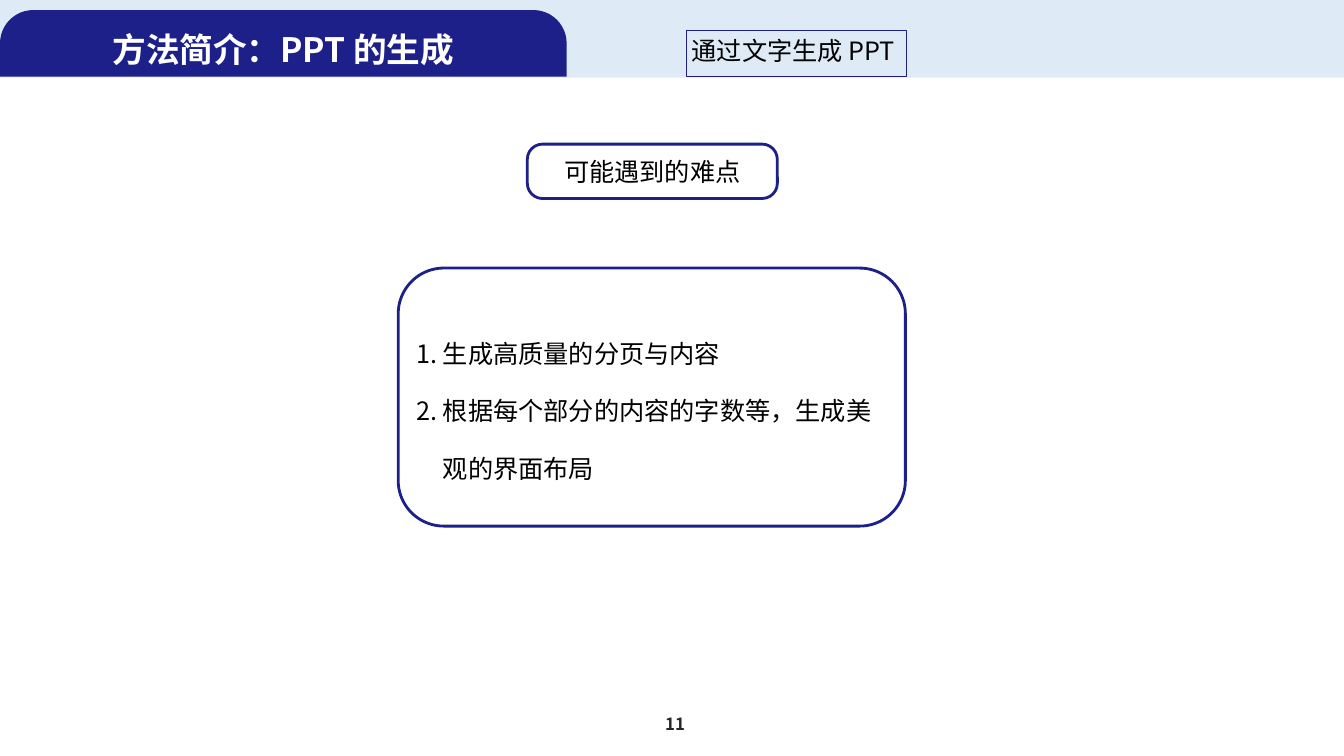
from lxml import etree
from pptx import Presentation
from pptx.dml.color import RGBColor
from pptx.enum.shapes import MSO_SHAPE as Preset
from pptx.enum.text import MSO_ANCHOR as Anchor, MSO_AUTO_SIZE as AutoSize, PP_ALIGN as Align
from pptx.oxml.ns import qn
from pptx.util import Inches, Pt

FONT = "Noto Sans CJK SC"
NAVY, SKY, WHITE, BLACK, GREY = "1D2088", "DEEBF7", "FFFFFF", "000000", "262626"
NUMBER_INDENT = Inches(0.26)


def rgb(value):
    return RGBColor.from_string(value)


def apply_format(target, values):
    for name, value in values.items():
        setattr(target, name, value)


def add_panel(slide, preset, box, fill=None, line_width=None, radii=()):
    panel = slide.shapes.add_shape(preset, *map(Inches, box))
    panel.shadow.inherit = False
    for index, radius in enumerate(radii):
        panel.adjustments[index] = radius
    if fill:
        panel.fill.solid()
        panel.fill.fore_color.rgb = rgb(fill)
    else:
        panel.fill.background()
    if line_width:
        panel.line.color.rgb = rgb(NAVY)
        panel.line.width = Pt(line_width)
    else:
        panel.line.fill.background()
    return panel


def write_text(holder, lines, size=18, color=BLACK, bold=False, align=Align.CENTER,
               anchor=Anchor.MIDDLE, wrap=True, fit=AutoSize.NONE):
    frame = holder.text_frame
    apply_format(frame, {
        "margin_left": Inches(0.05), "margin_right": Inches(0.05),
        "margin_top": Inches(0.05), "margin_bottom": Inches(0.05),
        "vertical_anchor": anchor, "word_wrap": wrap, "auto_size": fit,
    })
    frame.text = "\n".join(lines)
    for paragraph in frame.paragraphs:
        paragraph.alignment = align
        font = paragraph.runs[0].font
        apply_format(font, {"name": FONT, "size": Pt(size), "bold": bold})
        font.color.rgb = rgb(color)
        # East Asian glyphs use the same typeface
        properties = paragraph.runs[0]._r.get_or_add_rPr()
        etree.SubElement(properties, qn("a:ea"), typeface=FONT)


def add_label(slide, box, text, **style):
    label = slide.shapes.add_textbox(*map(Inches, box))
    write_text(label, [text], fit=AutoSize.SHAPE_TO_FIT_TEXT, **style)


def number_lines(holder):
    for paragraph in holder.text_frame.paragraphs:
        paragraph.line_spacing = 1.9
        properties = paragraph._p.get_or_add_pPr()
        properties.set("marL", str(NUMBER_INDENT))
        properties.set("indent", str(-NUMBER_INDENT))
        etree.SubElement(properties, qn("a:buFont"), typeface=FONT)
        etree.SubElement(properties, qn("a:buAutoNum"), type="arabicPeriod")


def main():
    deck = Presentation()
    deck.slide_width, deck.slide_height = Inches(13.33), Inches(7.5)
    slide = deck.slides.add_slide(deck.slide_layouts[6])

    # Header band with title tab
    add_panel(slide, Preset.RECTANGLE, (-0.01, 0, 13.34, 0.77), SKY)
    add_panel(slide, Preset.ROUND_2_SAME_RECTANGLE, (0, 0.1, 5.62, 0.66), NAVY, radii=(0.5, 0))
    add_label(slide, (0.15, 0.21, 5.32, 0.56), "方法简介：PPT 的生成",
              size=24, color=WHITE, bold=True)

    # Page number, wide enough for two digits on one line
    add_label(slide, (6.5, 7.04, 0.39, 0.29), "11",
              size=12, color=GREY, bold=True, wrap=False)

    # Topic in the header
    topic = add_panel(slide, Preset.RECTANGLE, (6.81, 0.3, 2.18, 0.46), line_width=1)
    write_text(topic, ["通过文字生成 PPT"], align=Align.LEFT, anchor=Anchor.TOP,
               wrap=False, fit=AutoSize.SHAPE_TO_FIT_TEXT)

    # Difficulties and their heading
    difficulties = add_panel(slide, Preset.ROUNDED_RECTANGLE, (3.95, 2.66, 5.03, 2.56),
                             WHITE, 2, (0.177,))
    write_text(difficulties, ["生成高质量的分页与内容",
                              "根据每个部分的内容的字数等，生成美观的界面布局"], align=Align.LEFT)
    number_lines(difficulties)
    heading = add_panel(slide, Preset.ROUNDED_RECTANGLE, (5.23, 1.43, 2.48, 0.54),
                        WHITE, 2, (0.28,))
    write_text(heading, ["可能遇到的难点"])

    deck.save("out.pptx")


if __name__ == "__main__":
    main()
